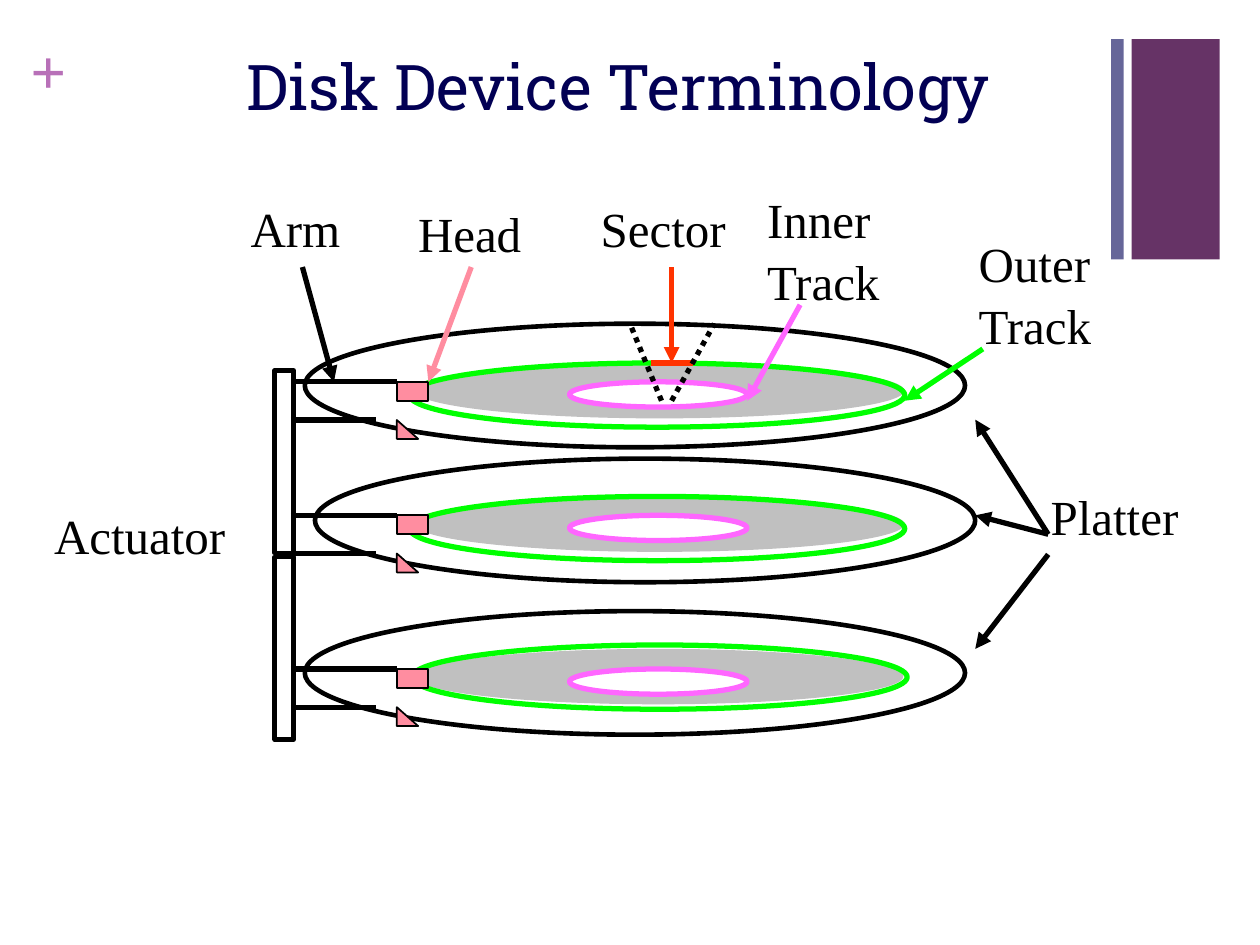
from dataclasses import dataclass

import pptx
import pptx.dml.color
import pptx.enum.dml
import pptx.enum.shapes
import pptx.enum.text
import pptx.oxml
import pptx.oxml.ns
import pptx.util

Pt = pptx.util.Pt
RGBColor = pptx.dml.color.RGBColor
Kind = pptx.enum.shapes.MSO_SHAPE
Align = pptx.enum.text.PP_ALIGN
Anchor = pptx.enum.text.MSO_ANCHOR

BLACK = RGBColor(0x00, 0x00, 0x00)
WHITE = RGBColor(0xFF, 0xFF, 0xFF)
NAVY = RGBColor(0x02, 0x00, 0x54)
PURPLE = RGBColor(0x66, 0x33, 0x66)
SLATE = RGBColor(0x66, 0x66, 0x99)
ORCHID = RGBColor(0xB8, 0x70, 0xB8)
GRAY = RGBColor(0xC0, 0xC0, 0xC0)
GREEN = RGBColor(0x00, 0xFF, 0x00)
MAGENTA = RGBColor(0xFF, 0x66, 0xFF)
RED = RGBColor(0xFF, 0x33, 0x00)
PINK = RGBColor(0xFF, 0x8D, 0xA0)

SERIF = "Times New Roman"
ARM_LEFT, HEAD_LEFT = 166.3, 226.8
LOWER_ARM_DROP = 21.8
PLATTER_ARROW_X = 557.3


@dataclass
class Platter:
    left: float
    top: float
    surface_left: float
    surface_top: float
    track_left: float
    track_top: float
    arm_top: float


@dataclass
class Label:
    text: str
    left: float
    top: float
    width: float
    height: float = 74.2


@dataclass
class Line:
    start: tuple[float, float]
    end: tuple[float, float]
    color: RGBColor = BLACK
    arrow: bool = True
    dotted: bool = False


PLATTERS = [
    Platter(174.2, 185, 236.9, 207.4, 234, 207.4, 218.2),
    Platter(180, 262.1, 236.9, 283.7, 234, 283.7, 294.5),
    Platter(174.2, 349.2, 236.2, 370.8, 235.4, 368.6, 382.3),
]

LABELS = [
    Label("Arm", 136.1, 108, 70.6),
    Label("Head", 231.8, 110.9, 82.8),
    Label("Sector", 336.2, 108, 101.5),
    Label("Inner\nTrack", 431.3, 103, 89.3, 136),
    Label("Outer\nTrack", 552.2, 128.2, 89.3, 136),
    Label("Platter", 593.3, 272.9, 101.5),
    Label("Actuator", 23.8, 283.7, 129.6),
]

LINES = [
    # Platter pointers
    Line((599, 305.3), (PLATTER_ARROW_X, 239.8)),
    Line((599, 305.3), (PLATTER_ARROW_X, 294.5)),
    Line((599, 316.8), (PLATTER_ARROW_X, 370.8)),
    # Track, sector, head and arm pointers
    Line((561.6, 199.4), (517, 229), GREEN),
    Line((457.2, 174.2), (427, 229), MAGENTA),
    Line((383.8, 152.6), (383.8, 207.4), RED),
    Line((269.3, 152.6), (244.8, 218.2), PINK),
    Line((172.8, 152.6), (190.8, 218.2)),
    # Sector boundary
    Line((372.2, 207.4), (396, 207.4), RED, arrow=False),
    Line((383.8, 229), (408.2, 185), arrow=False, dotted=True),
    Line((378, 229), (360, 185), arrow=False, dotted=True),
]


def write_text(shape, text: str, *, size: float, color: RGBColor, font: str = SERIF,
               bold: bool = False, align=Align.LEFT, anchor=Anchor.TOP,
               spacing: float = 1.0, margins: tuple[float, float] = (7.2, 3.6)) -> None:
    frame = shape.text_frame
    frame.auto_size = pptx.enum.text.MSO_AUTO_SIZE.NONE
    frame.word_wrap = True
    frame.vertical_anchor = anchor
    frame.margin_left = frame.margin_right = Pt(margins[0])
    frame.margin_top = frame.margin_bottom = Pt(margins[1])
    frame.text = text
    for paragraph in frame.paragraphs:
        paragraph.alignment = align
        paragraph.line_spacing = spacing
        paragraph.font.name = font
        paragraph.font.size = Pt(size)
        paragraph.font.bold = bold
        paragraph.font.color.rgb = color


def add_text_box(slide, left: float, top: float, width: float, height: float):
    return slide.shapes.add_textbox(Pt(left), Pt(top), Pt(width), Pt(height))


def draw_shape(slide, kind, left: float, top: float, width: float, height: float,
               fill: RGBColor | None = None, line: RGBColor | None = None,
               weight: float = 3) -> None:
    shape = slide.shapes.add_shape(kind, Pt(left), Pt(top), Pt(width), Pt(height))
    shape.shadow.inherit = False
    if fill is None:
        shape.fill.background()
    else:
        shape.fill.solid()
        shape.fill.fore_color.rgb = fill
    if line is None:
        shape.line.fill.background()
    else:
        shape.line.color.rgb = line
        shape.line.width = Pt(weight)


def draw_line(slide, line: Line) -> None:
    connector = slide.shapes.add_connector(
        pptx.enum.shapes.MSO_CONNECTOR.STRAIGHT,
        *(Pt(value) for value in (*line.start, *line.end)))
    connector.line.color.rgb = line.color
    connector.line.width = Pt(3)
    if line.dotted:
        connector.line.dash_style = pptx.enum.dml.MSO_LINE.ROUND_DOT
    if line.arrow:
        tail = pptx.oxml.parse_xml(
            f'<a:tailEnd {pptx.oxml.ns.nsdecls("a")} type="triangle"/>')
        connector.line._get_or_add_ln().append(tail)
    effects = pptx.oxml.parse_xml(f'<a:effectLst {pptx.oxml.ns.nsdecls("a")}/>')
    connector._element.spPr.append(effects)


def draw_platter(slide, platter: Platter) -> None:
    draw_shape(slide, Kind.OVAL, platter.left, platter.top, 377.3, 70.6, WHITE, BLACK, 2.63)
    draw_shape(slide, Kind.OVAL, platter.surface_left, platter.surface_top, 280, 31.7, GRAY)
    draw_shape(slide, Kind.OVAL, platter.track_left, platter.track_top, 283, 36.7, line=GREEN)
    draw_shape(slide, Kind.OVAL, 325.4, platter.arm_top, 101.5, 14.4, WHITE, MAGENTA)


def draw_arms(slide, top: float) -> None:
    lower = top + LOWER_ARM_DROP
    draw_shape(slide, Kind.RECTANGLE, HEAD_LEFT, top, 18, 10.8, PINK, BLACK, 1)
    draw_shape(slide, Kind.RIGHT_TRIANGLE, HEAD_LEFT, lower, 12.2, 10.8, PINK, BLACK, 1)
    draw_line(slide, Line((ARM_LEFT, top), (HEAD_LEFT, top), arrow=False))
    draw_line(slide, Line((ARM_LEFT, lower), (214.6, lower), arrow=False))


def main() -> None:
    presentation = pptx.Presentation()
    presentation.slide_width, presentation.slide_height = Pt(720), Pt(540)
    slide = presentation.slides.add_slide(presentation.slide_layouts[5])

    # Title and corner decoration
    title = slide.shapes.title
    title.left, title.top, title.width, title.height = Pt(128.2), Pt(30.2), Pt(450), Pt(37.4)
    write_text(title, "Disk Device Terminology", size=36, color=NAVY, font="Roboto Slab",
               align=Align.CENTER, anchor=Anchor.MIDDLE)
    draw_shape(slide, Kind.RECTANGLE, 646.6, 22.3, 50.4, 126, PURPLE)
    draw_shape(slide, Kind.RECTANGLE, 635, 22.3, 7.2, 126, SLATE)
    write_text(add_text_box(slide, 17.3, 18, 20.9, 43.9), "+", size=36, color=ORCHID,
               bold=True, margins=(0, 0))

    # Platters, then the actuator and its arms
    for platter in PLATTERS:
        draw_platter(slide, platter)
    for top in (211.7, 318.2):
        draw_shape(slide, Kind.RECTANGLE, 157, top, 10.8, 104.4, line=BLACK, weight=2.63)
    for platter in PLATTERS:
        draw_arms(slide, platter.arm_top)

    # Pointers and labels
    for line in LINES:
        draw_line(slide, line)
    for label in LABELS:
        box = add_text_box(slide, label.left, label.top, label.width, label.height)
        write_text(box, label.text, size=28, color=BLACK, spacing=1.05)

    presentation.save("out.pptx")


if __name__ == "__main__":
    main()
